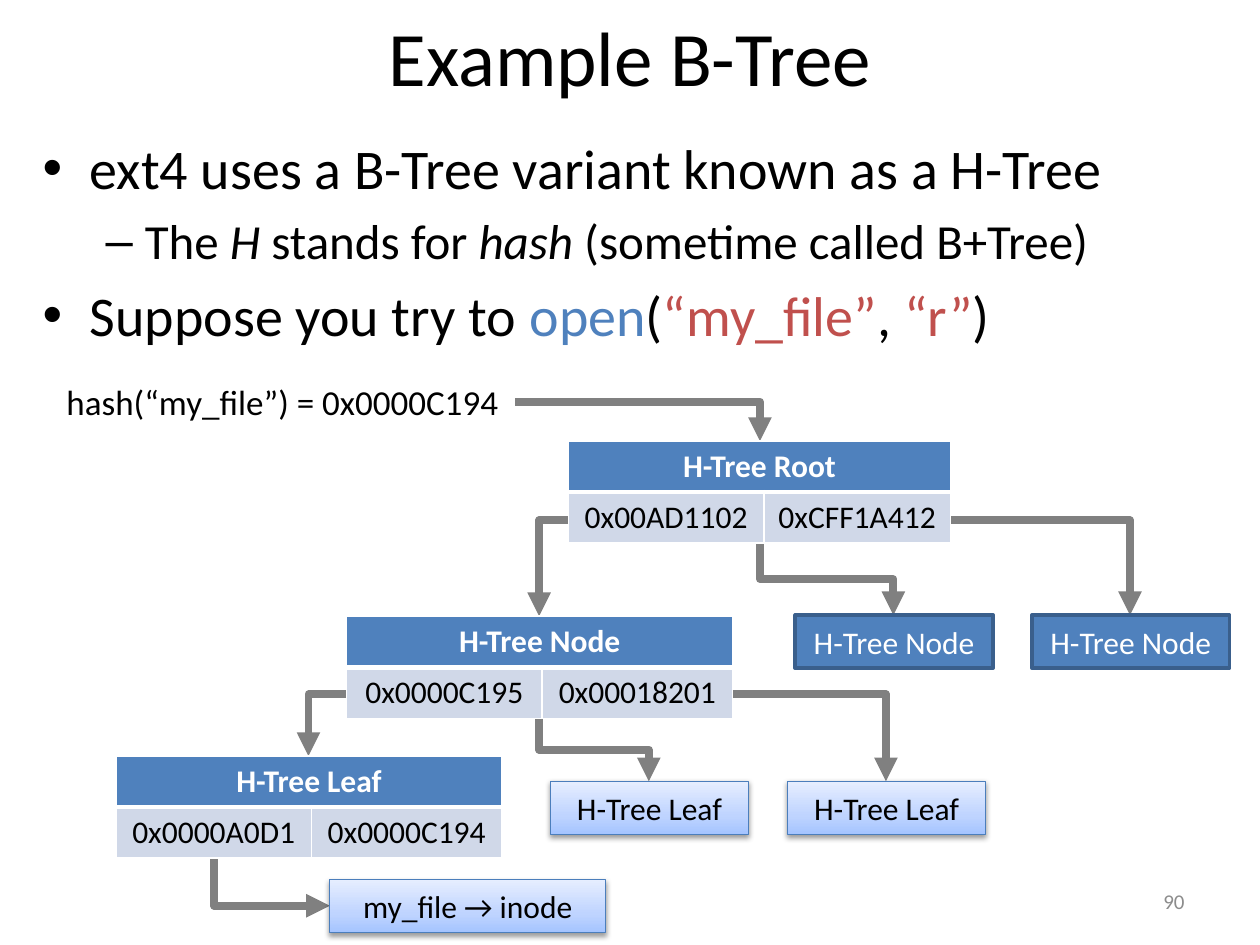
from copy import deepcopy
from dataclasses import dataclass

from lxml.etree import SubElement
from pptx import Presentation
from pptx.dml.color import RGBColor
from pptx.enum.shapes import MSO_CONNECTOR, MSO_SHAPE
from pptx.enum.text import MSO_ANCHOR, MSO_AUTO_SIZE, PP_ALIGN
from pptx.oxml.ns import qn
from pptx.util import Cm, Pt


@dataclass(frozen=True)
class Theme:
    font: str = "Calibri"
    black: str = "000000"
    white: str = "FFFFFF"
    blue: str = "4F81BD"
    red: str = "C0504D"
    node_line: str = "3A5F8C"
    leaf_line: str = "4B7EBC"
    leaf_stops: tuple = ((0, "A4C4FF"), (0.35, "BFD4FF"), (1, "E6EEFF"))
    key_fill: str = "D0D8E8"
    arrow: str = "808080"
    number: str = "8C8C8C"
    title_size: int = 44
    bullet_size: int = 32
    sub_bullet_size: int = 28
    hash_size: int = 20
    tree_size: int = 18
    number_size: int = 12


def rgb(value):
    return RGBColor.from_string(value)


class SlideBuilder:
    def __init__(self, slide, theme):
        self.slide = slide
        self.shapes = slide.shapes
        self.theme = theme

    def run(self, paragraph, text, size, color=None, bold=False, italic=False):
        run = paragraph.add_run()
        run.text = text
        font = run.font
        font.name, font.size = self.theme.font, Pt(size)
        font.bold, font.italic = bold, italic
        font.color.rgb = rgb(color or self.theme.black)

    def title(self, text, left, top, width, height):
        title = self.shapes.title
        title.left, title.top = Cm(left), Cm(top)
        title.width, title.height = Cm(width), Cm(height)
        title.text_frame.vertical_anchor = MSO_ANCHOR.MIDDLE
        paragraph = title.text_frame.paragraphs[0]
        paragraph.alignment = PP_ALIGN.CENTER
        self.run(paragraph, text, self.theme.title_size)

    def text(self, text, box, size, color=None, align=PP_ALIGN.LEFT,
             anchor=MSO_ANCHOR.TOP, wrap=True):
        frame = self.shapes.add_textbox(*map(Cm, box)).text_frame
        frame.word_wrap = wrap
        frame.vertical_anchor = anchor
        if not wrap:
            frame.auto_size = MSO_AUTO_SIZE.SHAPE_TO_FIT_TEXT
        frame.paragraphs[0].alignment = align
        self.run(frame.paragraphs[0], text, size, color)

    def bullets(self, items, box):
        """Each item is a level and its runs, given as (text, run options)."""
        levels = (("•", 0.95, 0.95, self.theme.bullet_size),
                  ("–", 2.06, 0.79, self.theme.sub_bullet_size))
        frame = self.shapes.add_textbox(*map(Cm, box)).text_frame
        frame.word_wrap = True
        for index, (level, runs) in enumerate(items):
            paragraph = frame.add_paragraph() if index else frame.paragraphs[0]
            mark, margin, hanging, size = levels[level]
            properties = paragraph._p.get_or_add_pPr()
            properties.set("marL", str(Cm(margin)))
            properties.set("indent", str(-Cm(hanging)))
            SubElement(properties, qn("a:buFont"), typeface="Arial")
            SubElement(properties, qn("a:buChar"), char=mark)
            paragraph.level = level
            if index:
                paragraph.space_before = Pt(size * 0.2)
            for text, options in runs:
                self.run(paragraph, text, size, **options)

    def box(self, text, left, top, width, color):
        shape = self.shapes.add_shape(MSO_SHAPE.RECTANGLE, Cm(left), Cm(top), Cm(width), Cm(1.07))
        shape.shadow.inherit = False
        frame = shape.text_frame
        frame.vertical_anchor = MSO_ANCHOR.MIDDLE
        frame.paragraphs[0].alignment = PP_ALIGN.CENTER
        self.run(frame.paragraphs[0], text, self.theme.tree_size, color)
        return shape

    def node_box(self, left, top):
        shape = self.box("H-Tree Node", left, top, 3.99, self.theme.white)
        shape.fill.solid()
        shape.fill.fore_color.rgb = rgb(self.theme.blue)
        shape.line.color.rgb = rgb(self.theme.node_line)
        shape.line.width = Pt(2)

    def leaf_box(self, text, left, top, width=3.99):
        shape = self.box(text, left, top, width, self.theme.black)
        shape.fill.gradient()
        shape.fill.gradient_angle = 90
        properties = shape._element.spPr
        stop_list = properties.find(".//" + qn("a:gsLst"))
        stop_list.append(deepcopy(stop_list[-1]))
        for stop, (position, color) in zip(shape.fill.gradient_stops, self.theme.leaf_stops):
            stop.position = position
            stop.color.rgb = rgb(color)
        shape.line.color.rgb = rgb(self.theme.leaf_line)
        shape.line.width = Pt(0.75)
        shadow = SubElement(properties.find(qn("a:effectLst")), qn("a:outerShdw"),
                            blurRad=str(Pt(3.1)), dist=str(Pt(1.6)),
                            dir="5400000", rotWithShape="0")
        shade = SubElement(shadow, qn("a:srgbClr"), val=self.theme.black)
        SubElement(shade, qn("a:alpha"), val="38000")

    def cell(self, cell, text, fill, color, bold, bottom):
        properties = cell._tc.get_or_add_tcPr()
        for side, width in (("L", 1), ("R", 1), ("T", 1), ("B", bottom)):
            line = SubElement(properties, qn("a:ln" + side), w=str(Pt(width)))
            SubElement(SubElement(line, qn("a:solidFill")), qn("a:srgbClr"), val=self.theme.white)
        cell.fill.solid()
        cell.fill.fore_color.rgb = rgb(fill)
        if text:
            paragraph = cell.text_frame.paragraphs[0]
            paragraph.alignment = PP_ALIGN.CENTER
            self.run(paragraph, text, self.theme.tree_size, color, bold)

    def tree_table(self, heading, keys, left, top, widths):
        theme = self.theme
        table = self.shapes.add_table(2, 2, Cm(left), Cm(top), Cm(sum(widths)), Cm(2.06)).table
        for column, width in zip(table.columns, widths):
            column.width = Cm(width)
        table.cell(0, 0).merge(table.cell(0, 1))
        for index, (title, key) in enumerate(zip((heading, ""), keys)):
            self.cell(table.cell(0, index), title, theme.blue, theme.white, True, 3)
            self.cell(table.cell(1, index), key, theme.key_fill, theme.black, False, 1)

    def elbow(self, start, end, preset="bentConnector2", downward=False, bend=0.5):
        """Draw a bent arrow; downward ones leave their start vertically."""
        (x1, y1), (x2, y2) = start, end
        if downward:
            # A quarter turn about the centre swaps the two extents.
            middle_x, middle_y = (x1 + x2) / 2, (y1 + y2) / 2
            half_x, half_y = (x2 - x1) / 2, (y2 - y1) / 2
            x1, x2 = middle_x + half_y, middle_x - half_y
            y1, y2 = middle_y - half_x, middle_y + half_x
        arrow = self.shapes.add_connector(MSO_CONNECTOR.ELBOW, Cm(x1), Cm(y1), Cm(x2), Cm(y2))
        arrow.line.color.rgb = rgb(self.theme.arrow)
        arrow.line.width = Pt(4.5)
        properties = arrow._element.spPr
        if downward:
            properties.find(qn("a:xfrm")).set("rot", "16200000")
        geometry = properties.find(qn("a:prstGeom"))
        geometry.set("prst", preset)
        if preset == "bentConnector3":
            SubElement(geometry.find(qn("a:avLst")), qn("a:gd"),
                       name="adj1", fmla=f"val {round(bend * 100000)}")
        SubElement(properties.find(qn("a:ln")), qn("a:tailEnd"), type="triangle")
        SubElement(properties, qn("a:effectLst"))


def main():
    deck = Presentation()
    deck.slide_width, deck.slide_height = Cm(25.4), Cm(19.05)
    theme = Theme()
    page = SlideBuilder(deck.slides.add_slide(deck.slide_layouts[5]), theme)

    page.title("Example B-Tree", 1.27, 0, 22.86, 2.24)
    italic, blue, red = {"italic": True}, {"color": theme.blue}, {"color": theme.red}
    page.bullets([
        (0, [("ext4 uses a B-Tree variant known as a H-Tree", {})]),
        (1, [("The ", {}), ("H", italic), (" stands for ", {}), ("hash ", italic),
             ("(sometime called B+Tree)", {})]),
        (0, [("Suppose you try to ", {}), ("open", blue), ("(", {}), ("“my_file”", red),
             (", ", {}), ("“r”", red), (")", {})]),
    ], (0.61, 2.57, 24.1, 4.95))
    page.text("90", (18.21, 17.65, 5.92, 1.02), theme.number_size, theme.number,
              PP_ALIGN.RIGHT, MSO_ANCHOR.MIDDLE)
    page.text("hash(“my_file”) = 0x0000C194", (1.09, 7.54, 9.3, 1.12), theme.hash_size, wrap=False)

    for start, end in (((10.39, 8.1), (15.32, 8.89)),
                       ((17.86, 10.49), (22.78, 12.4)),
                       ((13.11, 10.49), (10.87, 12.42)),
                       ((13.11, 14), (17.86, 15.75)),
                       ((8.33, 14), (6.22, 15.24))):
        page.elbow(start, end)
    for start, end in (((15.32, 10.95), (18.01, 12.4)), ((10.87, 14.48), (13.08, 15.75))):
        page.elbow(start, end, "bentConnector3", downward=True)
    page.elbow((3.81, 16.89), (6.65, 18.26), "bentConnector3", bend=0.18)

    for left in (16.03, 20.8):
        page.node_box(left, 12.4)
    for left in (11.1, 15.88):
        page.leaf_box("H-Tree Leaf", left, 15.75)
    page.leaf_box("my_file → inode", 6.65, 17.73, 5.56)

    page.tree_table("H-Tree Root", ("0x00AD1102", "0xCFF1A412"), 11.46, 8.89, (3.94, 3.76))
    page.tree_table("H-Tree Node", ("0x0000C195", "0x00018201"), 6.99, 12.42, (3.94, 3.84))
    page.tree_table("H-Tree Leaf", ("0x0000A0D1", "0x0000C194"), 2.34, 15.24, (3.94, 3.84))
    deck.save("out.pptx")


if __name__ == "__main__":
    main()
